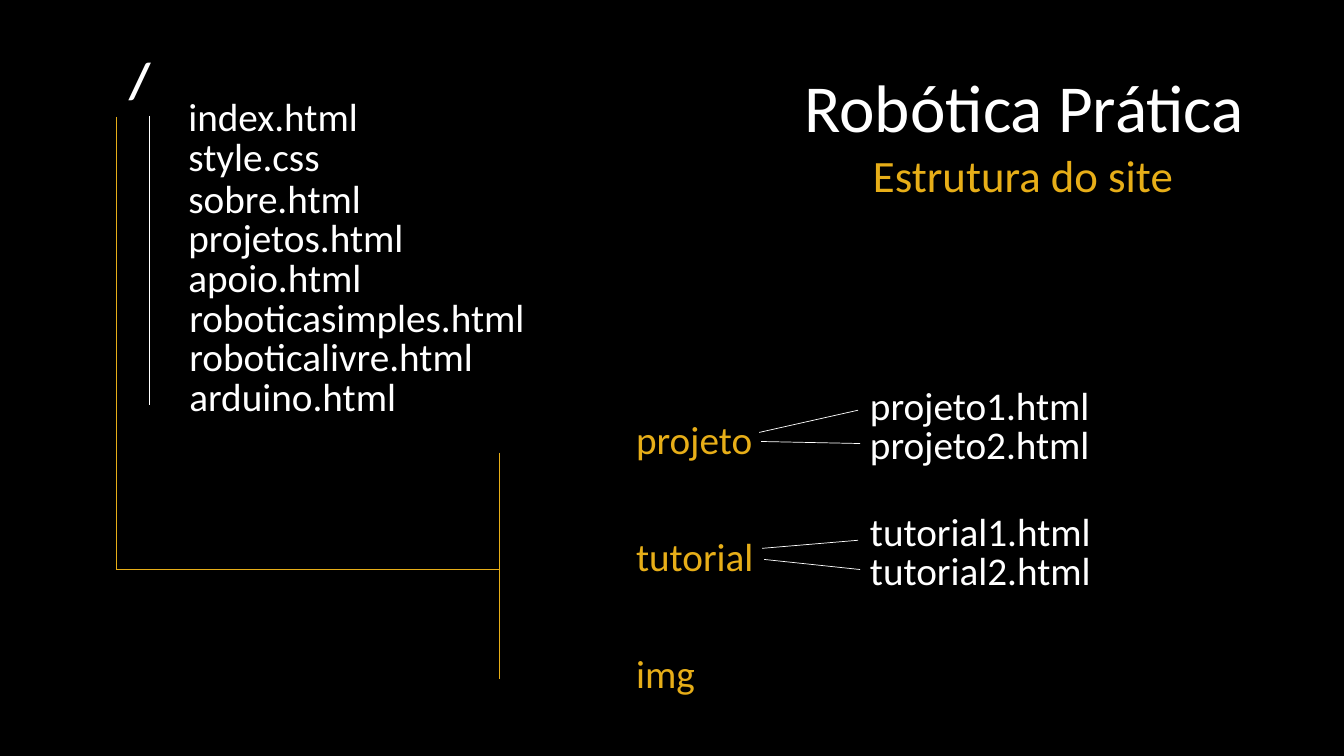
"""Builds a slide that maps the folders and files of a website."""
import pptx
import pptx.enum.shapes
import pptx.enum.text
import pptx.oxml.ns
import pptx.util
from lxml import etree
from pptx.dml.color import RGBColor
from pptx.util import Inches

COLORS = {"background": "000000", "file": "FFFFFF", "folder": "E7AE18"}
FONT = "Calibri"
FILE_STEP = 0.39
FOLDER_STEP = 1.16

ROOT_GROUPS = [
    (1.77, 0.87, ["index.html", "style.css"]),
    (1.77, 1.68, ["sobre.html", "projetos.html", "apoio.html"]),
    (1.78, 2.86, ["roboticasimples.html", "roboticalivre.html", "arduino.html"]),
]
FOLDER_GROUPS = [
    (8.53, 3.73, ["projeto1.html", "projeto2.html"]),
    (8.53, 4.98, ["tutorial1.html", "tutorial2.html"]),
]
FOLDERS = ["projeto", "tutorial", "img"]
FILE_LINES = [
    (1.48, 1.15, 1.48, 4.02),
    (8.51, 4.07, 7.53, 4.29),
    (8.53, 4.4, 7.55, 4.38),
    (8.51, 5.36, 7.56, 5.44),
    (8.53, 5.65, 7.58, 5.55),
]
FOLDER_LINES = [
    (1.15, 1.16, 1.15, 5.65),
    (1.15, 5.65, 4.95, 5.65),
    (4.95, 4.49, 4.95, 6.74),
]


def add_label(page, text, left, top, width, height, color="file", size=28, bold=False):
    """Add one line of text."""
    box = page.shapes.add_textbox(*map(Inches, (left, top, width, height)))
    frame = box.text_frame
    frame.word_wrap = True
    frame.auto_size = pptx.enum.text.MSO_AUTO_SIZE.SHAPE_TO_FIT_TEXT
    frame.text = text
    font = frame.paragraphs[0].runs[0].font
    font.name = FONT
    font.size = pptx.util.Pt(size)
    font.bold = bold
    font.color.rgb = RGBColor.from_string(COLORS[color])


def add_names(page, names, left, top, width, step, color):
    """Add a column of evenly spaced names."""
    for index, name in enumerate(names):
        add_label(page, name, left, top + index * step, width, 0.57, color)


def add_line(page, points, color):
    """Add a thin straight line without a shadow."""
    line = page.shapes.add_connector(
        pptx.enum.shapes.MSO_CONNECTOR.STRAIGHT, *map(Inches, points))
    line.line.color.rgb = RGBColor.from_string(COLORS[color])
    line.line.width = pptx.util.Pt(0.5)
    etree.SubElement(line._element.spPr, pptx.oxml.ns.qn("a:effectLst"))


def main():
    """Build and save the slide."""
    deck = pptx.Presentation()
    deck.slide_width, deck.slide_height = Inches(13.33), Inches(7.5)
    page = deck.slides.add_slide(deck.slide_layouts[6])
    fill = page.background.fill
    fill.solid()
    fill.fore_color.rgb = RGBColor.from_string(COLORS["background"])

    add_label(page, "Robótica Prática", 7.88, 0.6, 4.78, 0.91, size=48)
    add_label(page, "Estrutura do site", 8.56, 1.42, 3.89, 0.64, "folder", 32)
    add_label(page, "/", 1.18, 0.43, 0.79, 0.71, size=36, bold=True)

    for left, top, names in ROOT_GROUPS + FOLDER_GROUPS:
        add_names(page, names, left, top, 4.78, FILE_STEP, "file")
    add_names(page, FOLDERS, 6.21, 4.07, 1.41, FOLDER_STEP, "folder")

    for color, lines in (("file", FILE_LINES), ("folder", FOLDER_LINES)):
        for points in lines:
            add_line(page, points, color)
    deck.save("out.pptx")


if __name__ == "__main__":
    main()
